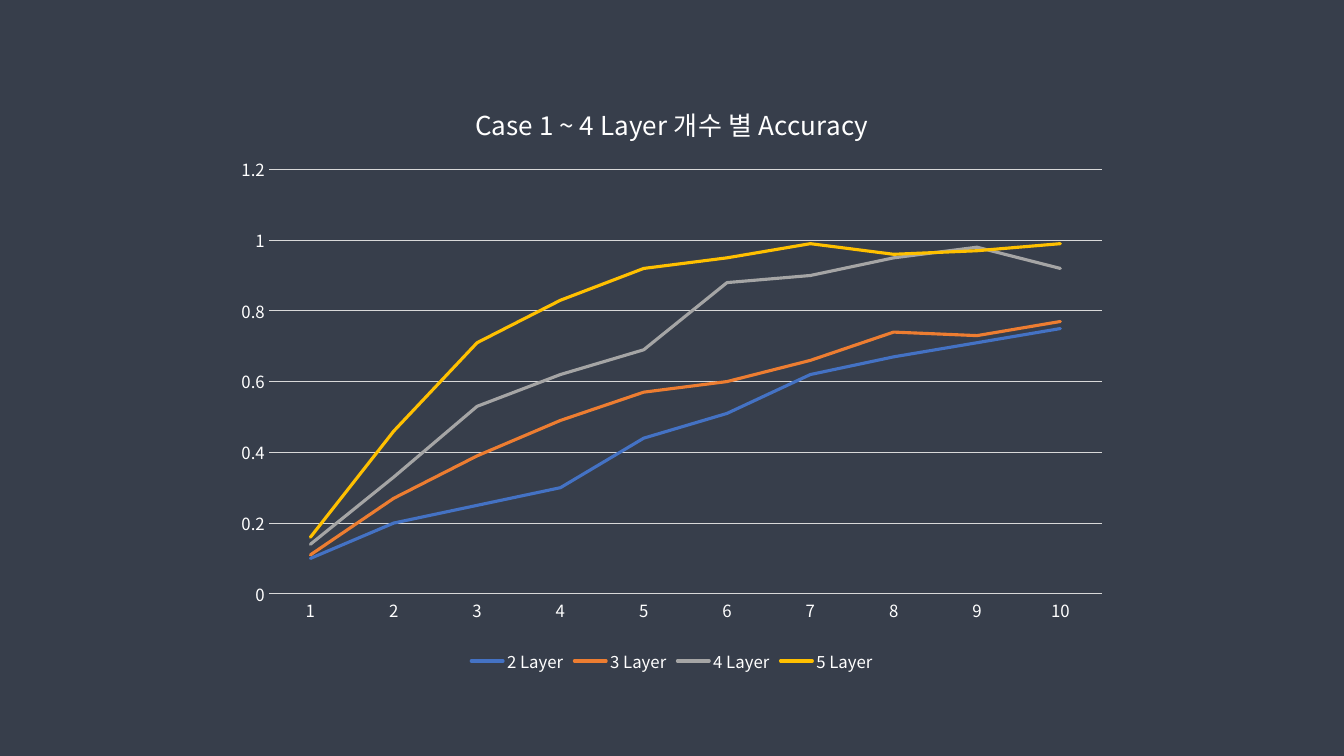
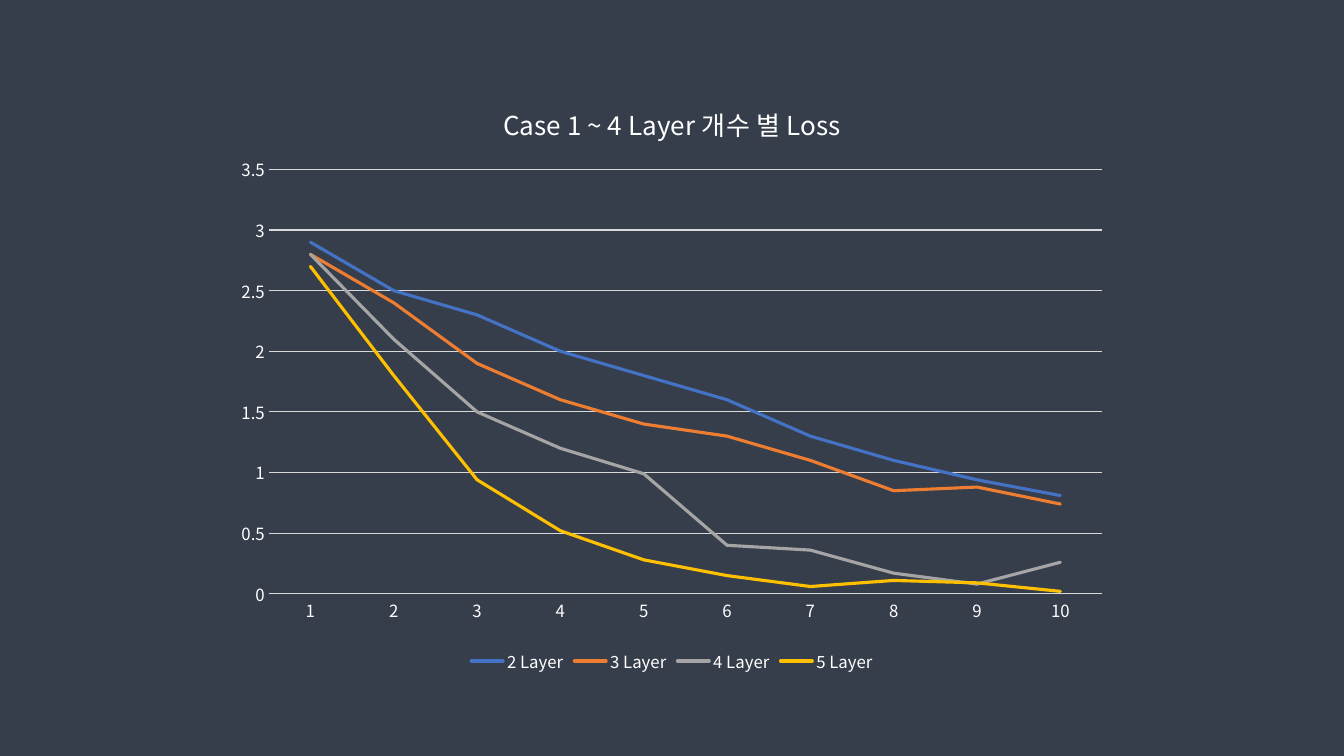
"""Build two slides with line charts of accuracy and loss by layer count."""
import pptx
import pptx.chart.data
import pptx.dml.color
import pptx.enum.chart
import pptx.oxml
import pptx.oxml.ns
import pptx.util

Pt = pptx.util.Pt
qn = pptx.oxml.ns.qn
FONT = "Noto Sans CJK KR"
WHITE, GRID, BACKGROUND = "FFFFFF", "D9D9D9", "373E4B"
SERIES_COLOURS = {
    "2 Layer": "4472C4",
    "3 Layer": "ED7D31",
    "4 Layer": "A5A5A5",
    "5 Layer": "FFC000",
}


def colour(value):
    return pptx.dml.color.RGBColor.from_string(value)


class ChartDeck:
    def __init__(self):
        self.deck = pptx.Presentation()
        self.deck.slide_width, self.deck.slide_height = Pt(960), Pt(540)
        fill = self.deck.slide_master.background.fill
        fill.solid()
        fill.fore_color.rgb = colour(BACKGROUND)
        self.page = None

    def add_page(self):
        self.page = self.deck.slides.add_slide(self.deck.slide_layouts[6])

    def style_font(self, font, size):
        font.name, font.size, font.bold = FONT, Pt(size), False
        font.color.rgb = colour(WHITE)
        latin = font._element.find(qn("a:latin"))
        latin.addnext(latin.makeelement(qn("a:ea"), {"typeface": FONT}))

    def style_line(self, line, value, width):
        line.color.rgb = colour(value)
        line.width = Pt(width)

    def place_plot(self, chart, **settings):
        area = chart._chartSpace.find(qn("c:chart")).find(qn("c:plotArea"))
        for old in area.findall(qn("c:layout")):
            area.remove(old)
        entries = "".join(f'<c:{name} val="{value}"/>' for name, value in settings.items())
        layout = pptx.oxml.parse_xml(
            f'<c:layout {pptx.oxml.ns.nsdecls("c")}>'
            f"<c:manualLayout>{entries}</c:manualLayout></c:layout>"
        )
        area.insert(0, layout)

    def add_title(self, chart, text):
        chart.has_title = True
        title = chart.chart_title
        title.include_in_layout = False
        para = title.text_frame.paragraphs[0]
        para.text = text
        self.style_font(para.font, 18.6)

    def style_axes(self, chart, maximum, step):
        tick = pptx.enum.chart.XL_TICK_MARK.NONE
        for axis in (chart.category_axis, chart.value_axis):
            axis.major_tick_mark = axis.minor_tick_mark = tick
            self.style_font(axis.tick_labels.font, 12)
        self.style_line(chart.category_axis.format.line, GRID, 0.75)
        values = chart.value_axis
        values.minimum_scale, values.maximum_scale, values.major_unit = 0, maximum, step
        values.format.line.fill.background()
        values.has_major_gridlines = True
        self.style_line(values.major_gridlines.format.line, GRID, 0.75)

    def add_legend(self, chart):
        chart.has_legend = True
        chart.legend.position = pptx.enum.chart.XL_LEGEND_POSITION.BOTTOM
        chart.legend.include_in_layout = False
        self.style_font(chart.legend.font, 12)

    def style_series(self, plot):
        plot.vary_by_categories = False
        for series in plot.series:
            series.smooth = False
            series.marker.style = pptx.enum.chart.XL_MARKER_STYLE.NONE
            self.style_line(series.format.line, SERIES_COLOURS[series.name], 2.25)
            series._element.find(qn("c:spPr")).find(qn("a:ln")).set("cap", "rnd")

    def add_line_chart(self, title, maximum, step, rows):
        data = pptx.chart.data.CategoryChartData()
        data.categories = [str(number) for number in range(1, 11)]
        for name, values in zip(SERIES_COLOURS, rows):
            data.add_series(name, values)
        chart = self.page.shapes.add_chart(
            pptx.enum.chart.XL_CHART_TYPE.LINE, Pt(160), Pt(57), Pt(640), Pt(427), data
        ).chart
        self.style_font(chart.font, 10)
        self.add_title(chart, title)
        self.style_axes(chart, maximum, step)
        self.add_legend(chart)
        self.style_series(chart.plots[0])
        self.place_plot(chart, layoutTarget="inner", xMode="edge", yMode="edge",
                        x=0.05, y=0.15, w=0.93, h=0.71)


ACCURACY = [
    (0.1, 0.2, 0.25, 0.3, 0.44, 0.51, 0.62, 0.67, 0.71, 0.75),
    (0.11, 0.27, 0.39, 0.49, 0.57, 0.6, 0.66, 0.74, 0.73, 0.77),
    (0.14, 0.33, 0.53, 0.62, 0.69, 0.88, 0.9, 0.95, 0.98, 0.92),
    (0.16, 0.46, 0.71, 0.83, 0.92, 0.95, 0.99, 0.96, 0.97, 0.99),
]
LOSS = [
    (2.9, 2.5, 2.3, 2, 1.8, 1.6, 1.3, 1.1, 0.94, 0.81),
    (2.8, 2.4, 1.9, 1.6, 1.4, 1.3, 1.1, 0.85, 0.88, 0.74),
    (2.8, 2.1, 1.5, 1.2, 0.99, 0.4, 0.36, 0.17, 0.08, 0.26),
    (2.7, 1.8, 0.94, 0.52, 0.28, 0.15, 0.06, 0.11, 0.09, 0.02),
]

report = ChartDeck()
for measure, maximum, step, rows in (
    ("Accuracy", 1.2, 0.2, ACCURACY),
    ("Loss", 3.5, 0.5, LOSS),
):
    report.add_page()
    report.add_line_chart(f"Case 1 ~ 4 Layer 개수 별 {measure}", maximum, step, rows)
report.deck.save("out.pptx")
